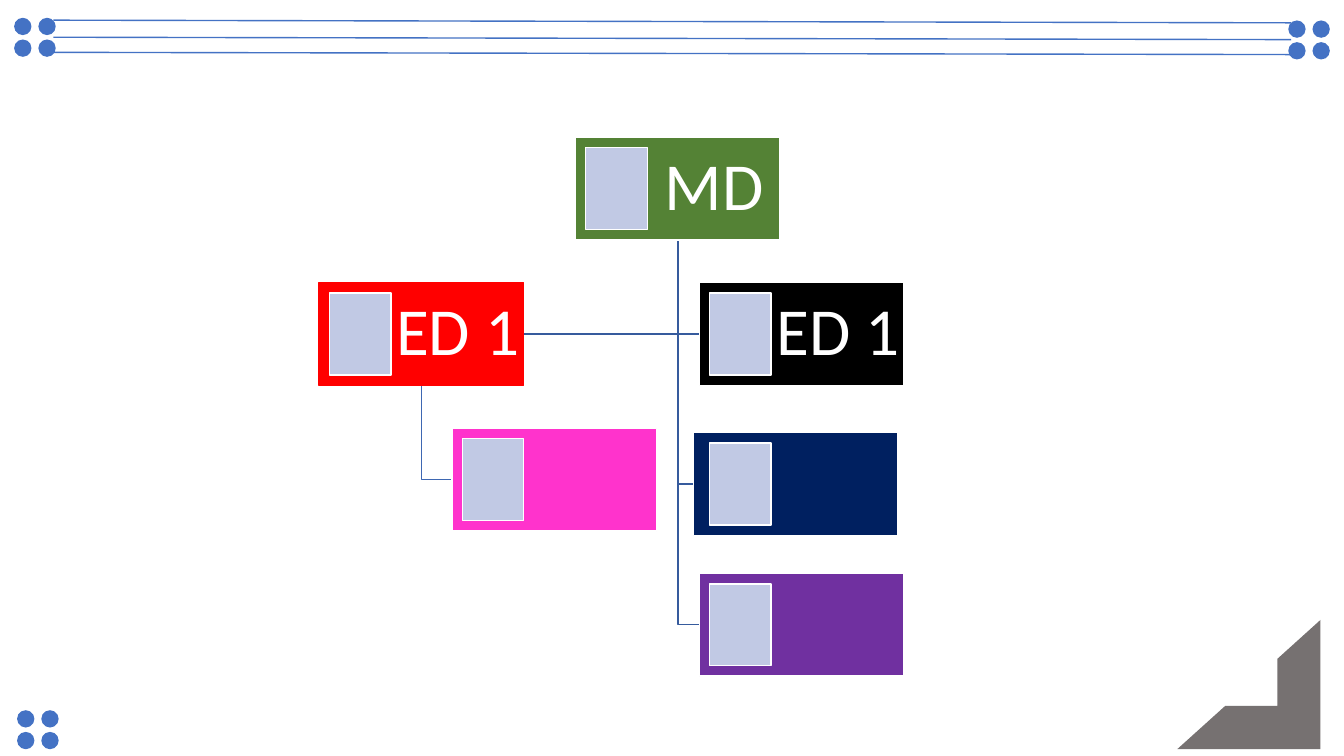
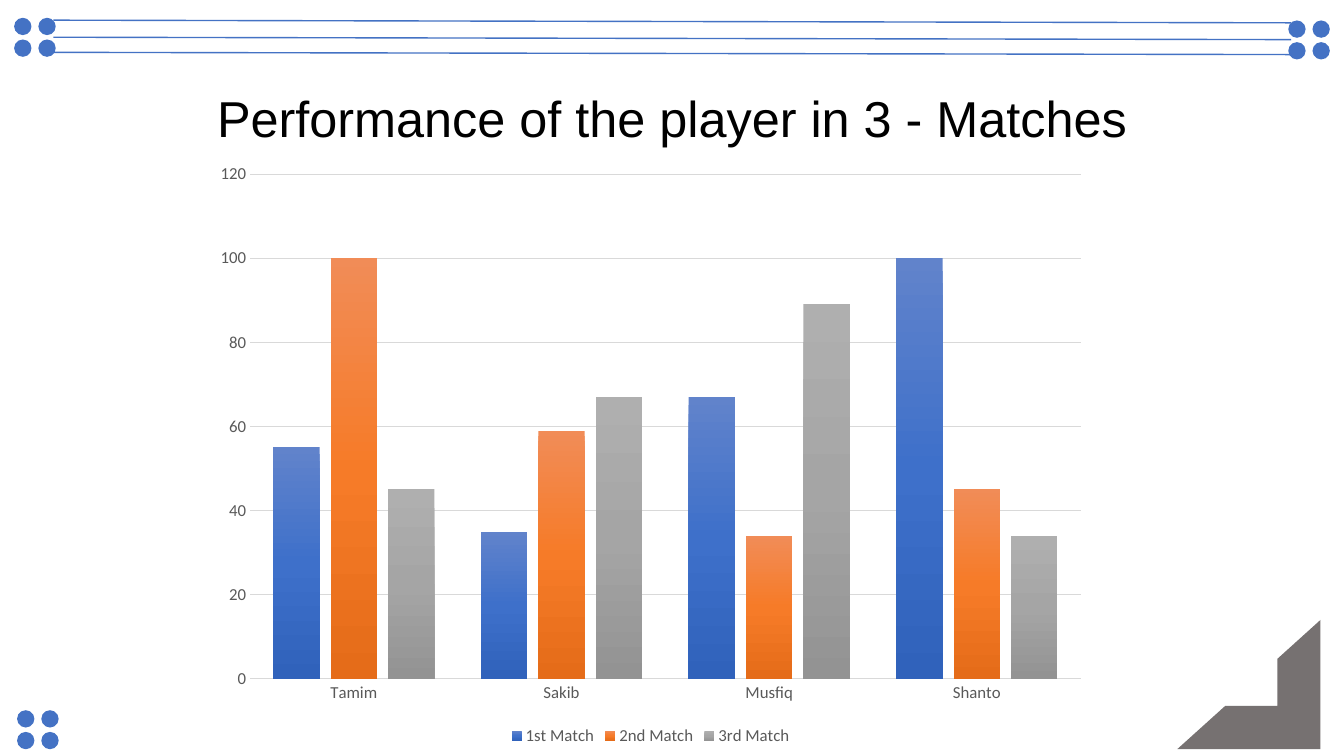
from copy import deepcopy

from pptx import Presentation
from pptx import util as u
from pptx.chart.data import CategoryChartData
from pptx.dml.color import RGBColor
from pptx.enum import chart as ch, shapes as sh, text as tx
from pptx.oxml.ns import qn
from pptx.oxml.xmlchemy import OxmlElement

BLUE, GREY, WHITE = "4472C4", "767171", "FFFFFF"
TEXT, GRID, THUMB = "595959", "D9D9D9", "C1C9E4"
TRUNK, TWIG = "365B9D", "3E67B2"

DOTS = [(10.1, 12.7), (12.2, 507.3), (920.2, 14.6)]
DOT, STEP_X, STEP_Y = 12.4, 17.3, 15.5
RULES = [(14.4, 16.3), (26.6, 28.3), (37.4, 39)]

BOX_W, BOX_H = 146.2, 73.4
THUMB_W, THUMB_H = 44, 58.6
BOXES = {
    "top": ("MD", 411.1, 98, "548235", WHITE, 7.3),
    "left": ("ED 1", 228, 201.8, "FF0000", "FF0000", 7.3),
    "aide": ("", 322.9, 306, "FF33CC", WHITE, 7.3),
    "right": ("ED 1", 499.5, 201.8, "000000", WHITE, 7.3),
    "mid": ("", 495.3, 309.1, "002060", WHITE, 11.5),
    "low": ("", 499.5, 409.6, "7030A0", WHITE, 7.3),
}
LINKS = [("top", "low", TRUNK), ("top", "mid", TRUNK), ("top", "right", TRUNK),
         ("left", "aide", TWIG), ("top", "left", TRUNK)]

TITLE = "Performance of the player in 3 - Matches"
NAMES = ["Tamim", "Sakib", "Musfiq", "Shanto"]
SERIES = [
    ("1st Match", [55, 35, 67, 100], ["6183CB", "3E70CA", "3062BB"]),
    ("2nd Match", [100, 59, 34, 45], ["F18C57", "F67B28", "E56C19"]),
    ("3rd Match", [45, 67, 89, 34], ["AFAFAF", "A5A5A5", "939393"]),
]


def rgb(code):
    return RGBColor.from_string(code)


def pts(*vals):
    return [u.Pt(v) for v in vals]


def stroke(line, code, size=1):
    line.color.rgb = rgb(code)
    line.width = u.Pt(size)


def style(font, size, code, name="Calibri"):
    font.size, font.name = u.Pt(size), name
    font.color.rgb = rgb(code)


def shape(slide, kind, spot, fill, edge=None):
    item = slide.shapes.add_shape(kind, *pts(*spot))
    item.shadow.inherit = False
    item.fill.solid()
    item.fill.fore_color.rgb = rgb(fill)
    if edge:
        stroke(item.line, edge)
    else:
        item.line.fill.background()
    return item


def frame(slide):
    """Draw the dots, rules and corner that every slide shares."""
    for x, y in DOTS:
        for i in range(4):
            spot = (x + i % 2 * STEP_X, y + i // 2 * STEP_Y, DOT, DOT)
            shape(slide, sh.MSO_SHAPE.OVAL, spot, BLUE)
    for y1, y2 in RULES:
        rule = slide.shapes.add_connector(
            sh.MSO_CONNECTOR.STRAIGHT, *pts(38.2, y1, 922.3, y2))
        stroke(rule.line, BLUE)
        rule._element.spPr.append(OxmlElement("a:effectLst"))
    half = shape(slide, sh.MSO_SHAPE.HALF_FRAME, (841, 442.8, 102.2, 92.2), GREY)
    half.rotation = 180


def link(slide, head, child, code):
    _, x, y, *_ = BOXES[head]
    _, left, top, *_ = BOXES[child]
    mid, turn = x + BOX_W / 2, top + BOX_H / 2
    end = left if left > x or child != "left" else left + BOX_W
    path = slide.shapes.build_freeform(*pts(mid, y + BOX_H))
    path.add_line_segments([pts(mid, turn), pts(end, turn)], close=False)
    elbow = path.convert_to_shape()
    elbow.shadow.inherit = False
    elbow.fill.background()
    stroke(elbow.line, code)


def box(slide, label, x, y, fill, edge, inset):
    card = shape(slide, sh.MSO_SHAPE.RECTANGLE, (x, y, BOX_W, BOX_H), fill, edge)
    if label:
        body = card.text_frame
        body.word_wrap = True
        body.vertical_anchor = tx.MSO_ANCHOR.MIDDLE
        body.margin_left = u.Pt(54)
        body.margin_right = body.margin_top = body.margin_bottom = u.Pt(2)
        para = body.paragraphs[0]
        para.alignment = tx.PP_ALIGN.CENTER
        para.line_spacing = 0.9
        run = para.add_run()
        run.text = label
        style(run.font, 48, WHITE)
    spot = (x + inset, y + 7.4, THUMB_W, THUMB_H)
    shape(slide, sh.MSO_SHAPE.RECTANGLE, spot, THUMB, WHITE)


def title(slide, label):
    head = slide.shapes.title
    head.left, head.top, head.width, head.height = pts(144.7, 58.3, 671, 51.1)
    body = head.text_frame
    body.word_wrap = False
    body.auto_size = tx.MSO_AUTO_SIZE.NONE
    body.vertical_anchor = tx.MSO_ANCHOR.MIDDLE
    para = body.paragraphs[0]
    para.alignment = tx.PP_ALIGN.CENTER
    run = para.add_run()
    run.text = label
    style(run.font, 36, "000000", "Arial")


def shade(bar, codes):
    fill = bar.format.fill
    fill.gradient()
    fill.gradient_angle = 270
    stops = bar._element.find(".//" + qn("a:gsLst"))
    stops.append(deepcopy(stops[-1]))
    for i, (stop, code) in enumerate(zip(fill.gradient_stops, codes)):
        stop.color.rgb = rgb(code)
        stop.position = i / 2


def graph(slide):
    data = CategoryChartData()
    data.categories = NAMES
    for name, vals, _ in SERIES:
        data.add_series(name, vals)
    chart = slide.shapes.add_chart(
        ch.XL_CHART_TYPE.COLUMN_CLUSTERED, *pts(144.7, 108.7, 640, 427), data).chart
    style(chart.font, 10, "000000")
    chart.has_title = False
    chart.has_legend = True
    chart.legend.position = ch.XL_LEGEND_POSITION.BOTTOM
    chart.legend.include_in_layout = False
    style(chart.legend.font, 12, TEXT)
    plot = chart.plots[0]
    plot.gap_width, plot.overlap = 100, -24
    plot.vary_by_categories = False
    for bar, (_, _, codes) in zip(plot.series, SERIES):
        shade(bar, codes)
    cat, val = chart.category_axis, chart.value_axis
    for axis in (cat, val):
        axis.major_tick_mark = axis.minor_tick_mark = ch.XL_TICK_MARK.NONE
        style(axis.tick_labels.font, 12, TEXT)
    stroke(cat.format.line, GRID)
    val.format.line.fill.background()
    val.minimum_scale, val.maximum_scale, val.major_unit = 0, 120, 20
    stroke(val.major_gridlines.format.line, GRID, 0.75)


def main():
    deck = Presentation()
    deck.slide_width, deck.slide_height = pts(960, 540)
    tree = deck.slides.add_slide(deck.slide_layouts[6])
    frame(tree)
    for args in LINKS:
        link(tree, *args)
    for args in BOXES.values():
        box(tree, *args)
    score = deck.slides.add_slide(deck.slide_layouts[5])
    frame(score)
    title(score, TITLE)
    graph(score)
    deck.save("out.pptx")


if __name__ == "__main__":
    main()
